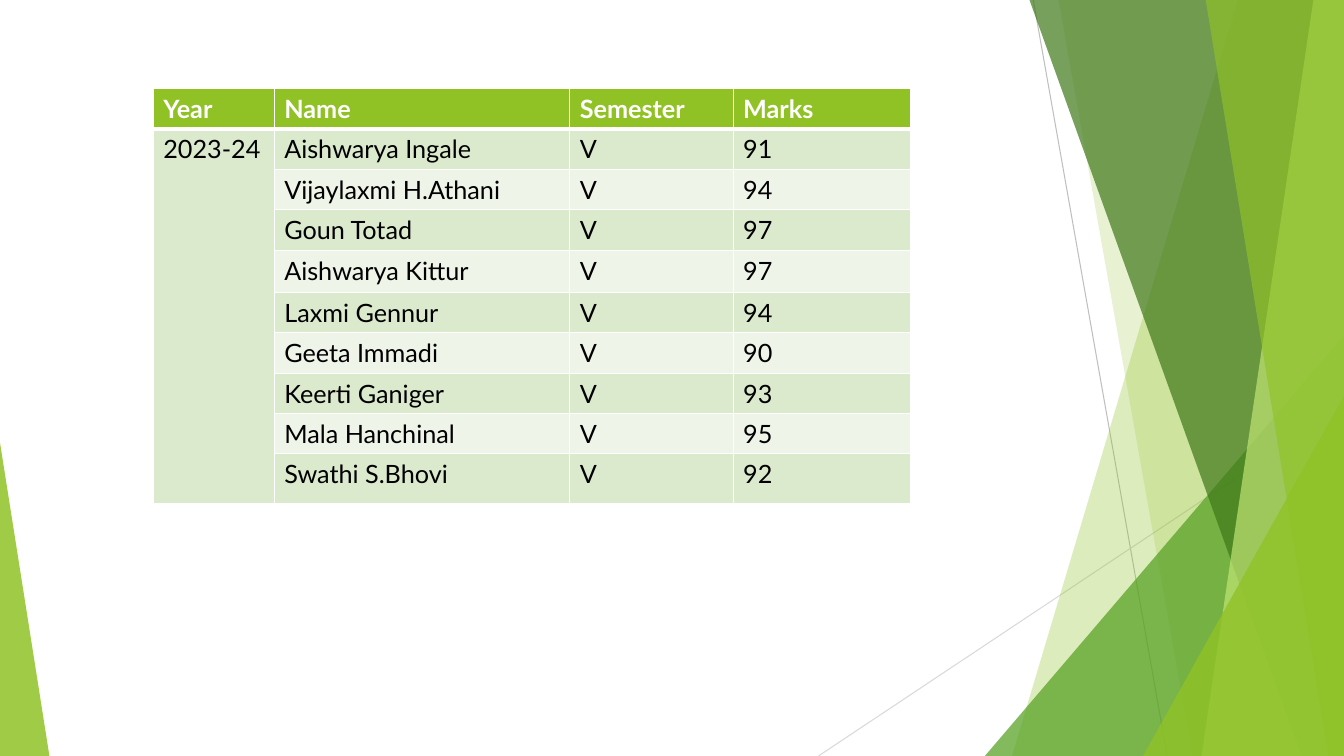
from collections import namedtuple
from dataclasses import dataclass

from lxml.etree import SubElement
from pptx import Presentation
from pptx.dml.color import RGBColor
from pptx.enum.shapes import MSO_CONNECTOR as Connector, MSO_SHAPE as Shape
from pptx.oxml.ns import qn
from pptx.util import Inches, Pt


@dataclass(frozen=True)
class Theme:
    font: str = "Lato"
    text_size: int = 18
    text: str = "000000"
    white: str = "FFFFFF"
    lime: str = "90C226"
    leaf: str = "54A021"
    forest: str = "3F7819"
    pale_lime: str = "C0E474"
    band_dark: str = "DBE9CD"
    band_light: str = "EEF4E8"
    grey: str = "BFBFBF"
    light_grey: str = "D9D9D9"
    hairline: float = 0.75
    border: int = 1
    header_border: int = 3


THEME = Theme()


class Box(namedtuple("Box", "left top width height")):
    """A region whose points and inner boxes are in percent of its size."""

    def point(self, x, y):
        return (round(self.left + self.width * x / 100),
                round(self.top + self.height * y / 100))

    def inner(self, x, y, width, height):
        return Box(*self.point(x, y), round(self.width * width / 100),
                   round(self.height * height / 100))


# Decoration: lines run from start to end; panels have a top left and a
# bottom left corner and reach the right edge; then colour and opacity
LINES = [((76.88, 0), (86.85, 100), THEME.grey),
         ((100, 53.73), (60.9, 100), THEME.light_grey)]
BACK_PANELS = [(92.1, 75.3, THEME.lime, 30), (78.75, 88.73, THEME.lime, 20)]
FRONT_PANELS = [(76.58, 96.83, THEME.forest, 70),
                (97.73, 89.4, THEME.pale_lime, 70),
                (89.7, 98.85, THEME.lime, 65)]

# Table content and proportions
HEADER = ["Year", "Name", "Semester", "Marks"]
YEAR, SEMESTER = "2023-24", "V"
STUDENTS = [("Aishwarya Ingale", 91), ("Vijaylaxmi H.Athani", 94),
            ("Goun Totad", 97), ("Aishwarya Kittur", 97),
            ("Laxmi Gennur", 94), ("Geeta Immadi", 90),
            ("Keerti Ganiger", 93), ("Mala Hanchinal", 95),
            ("Swathi S.Bhovi", 92)]
COLUMN_SHARES = [1.2, 2.93, 1.62, 1.76]
ROW_SHARES = [0.4] * 4 + [0.42] + [0.4] * 4 + [0.49]


def paint(shape, color, opacity):
    shape.shadow.inherit = False
    shape.line.fill.background()
    shape.fill.solid()
    shape.fill.fore_color.rgb = RGBColor.from_string(color)
    tint = shape._element.spPr.find(qn("a:solidFill"))[0]
    SubElement(tint, qn("a:alpha"), val=str(opacity * 1000))


def add_line(page, box, start, end, color):
    line = page.shapes.add_connector(Connector.STRAIGHT, *box.point(*start),
                                     *box.point(*end))
    line.line.color.rgb = RGBColor.from_string(color)
    line.line.width = Pt(THEME.hairline)
    SubElement(line._element.spPr, qn("a:effectLst"))


def add_panel(page, box, top_left, bottom_left, color, opacity):
    outline = page.shapes.build_freeform(*box.point(top_left, -0.1))
    outline.add_line_segments([box.point(100, -0.1), box.point(100, 100),
                               box.point(bottom_left, 100)], close=True)
    paint(outline.convert_to_shape(), color, opacity)


def add_triangle(page, box, left, top, width, apex, color, opacity):
    area = box.inner(left, top, width, 100 - top)
    triangle = page.shapes.add_shape(Shape.ISOSCELES_TRIANGLE, *area)
    triangle.adjustments[0] = apex
    paint(triangle, color, opacity)


def add_decoration(page, box):
    for line in LINES:
        add_line(page, box, *line)
    for panel in BACK_PANELS:
        add_panel(page, box, *panel)
    add_triangle(page, box, 73.28, 44.4, 26.72, 1, THEME.leaf, 72)
    for panel in FRONT_PANELS:
        add_panel(page, box, *panel)
    add_triangle(page, box, 85.05, 52.4, 14.95, 1, THEME.lime, 80)
    add_triangle(page, box, 0, 58.53, 3.68, 0, THEME.lime, 85)


def style_cell(cell, row):
    # Borders come before the fill in the cell properties
    properties = cell._tc.get_or_add_tcPr()
    thick = {0: "B", 1: "T"}.get(row)
    for side in "LRTB":
        width = THEME.header_border if side == thick else THEME.border
        edge = SubElement(properties, qn(f"a:ln{side}"), w=str(Pt(width)))
        fill = SubElement(edge, qn("a:solidFill"))
        SubElement(fill, qn("a:srgbClr"), val=THEME.white)
    bands = [THEME.band_light, THEME.band_dark]
    cell.fill.solid()
    cell.fill.fore_color.rgb = RGBColor.from_string(
        bands[row % 2] if row else THEME.lime)


def write_cell(cell, text, is_header):
    span = cell.text_frame.paragraphs[0].add_run()
    span.text = text
    span.font.name = THEME.font
    span.font.size = Pt(THEME.text_size)
    span.font.bold = is_header
    span.font.color.rgb = RGBColor.from_string(
        THEME.white if is_header else THEME.text)


def add_marks_table(page, box):
    rows = [HEADER] + [[YEAR if index == 0 else "", name, SEMESTER, str(marks)]
                       for index, (name, marks) in enumerate(STUDENTS)]
    table = page.shapes.add_table(len(rows), len(HEADER), *box).table
    for column, share in zip(table.columns, COLUMN_SHARES):
        column.width = round(box.width * share / sum(COLUMN_SHARES))
    for row, share in zip(table.rows, ROW_SHARES):
        row.height = round(box.height * share / sum(ROW_SHARES))
    for row, texts in enumerate(rows):
        for column, text in enumerate(texts):
            cell = table.cell(row, column)
            style_cell(cell, row)
            if text:
                write_cell(cell, text, row == 0)
    # The year covers all students
    table.cell(1, 0).merge(table.cell(len(STUDENTS), 0))


def main():
    deck = Presentation()
    deck.slide_width, deck.slide_height = Inches(13.33), Inches(7.5)
    page = deck.slides.add_slide(deck.slide_layouts[6])
    whole = Box(0, 0, deck.slide_width, deck.slide_height)
    add_decoration(page, whole)
    add_marks_table(page, whole.inner(11.4, 11.73, 56.36, 54.8))
    deck.save("out.pptx")


if __name__ == "__main__":
    main()
